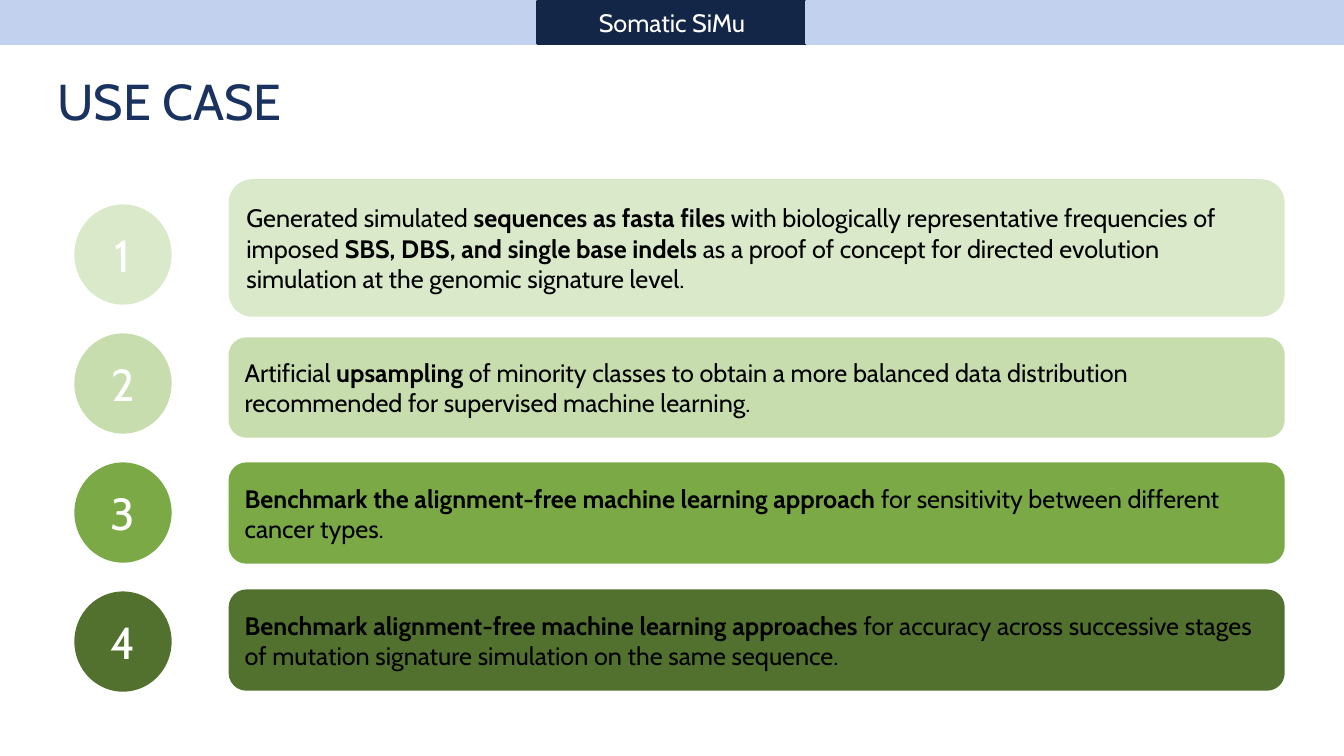
"""Build the "Use case" slide: a section bar above four numbered statements."""
from pptx import Presentation
from pptx.dml.color import RGBColor
from pptx.enum.shapes import MSO_SHAPE
from pptx.enum.text import MSO_ANCHOR, PP_ALIGN
from pptx.util import Inches, Pt

RECTANGLE = MSO_SHAPE.RECTANGLE
ROUNDED = MSO_SHAPE.ROUNDED_RECTANGLE
OVAL = MSO_SHAPE.OVAL
CENTER, LEFT = PP_ALIGN.CENTER, PP_ALIGN.LEFT
MIDDLE, BOTTOM = MSO_ANCHOR.MIDDLE, MSO_ANCHOR.BOTTOM

FONT = "Cabin"
NAVY = RGBColor(0x1A, 0x32, 0x60)
DARK_NAVY = RGBColor(0x14, 0x26, 0x48)
PALE_BLUE = RGBColor(0xC2, 0xD1, 0xEE)
WHITE = RGBColor(0xFF, 0xFF, 0xFF)
BLACK = RGBColor(0x00, 0x00, 0x00)
GREENS = (
    RGBColor(0xDA, 0xE9, 0xC9),
    RGBColor(0xC7, 0xDD, 0xAD),
    RGBColor(0x7B, 0xA9, 0x46),
    RGBColor(0x52, 0x71, 0x2E),
)

TITLE = "USE CASE"
SECTIONS = ("", "", "Somatic SiMu", "", "")
STATEMENTS = (
    (
        ("Generated simulated ", False),
        ("sequences as fasta files ", True),
        ("with biologically representative frequencies of imposed ", False),
        ("SBS, DBS, and single base indels ", True),
        ("as a proof of concept for directed evolution simulation "
         "at the genomic signature level.", False),
    ),
    (
        ("Artificial ", False),
        ("upsampling", True),
        (" of minority classes to obtain a more balanced data distribution "
         "recommended for supervised machine learning.", False),
    ),
    (
        ("Benchmark the alignment-free machine learning approach", True),
        (" for sensitivity between different cancer types.", False),
    ),
    (
        ("Benchmark alignment-free machine learning approaches ", True),
        ("for accuracy across successive stages of mutation signature "
         "simulation on the same sequence.", False),
    ),
)
PANEL_SPANS = ((1.79, 1.34), (3.36, 0.97), (4.6, 0.98), (5.86, 0.98))

SLIDE_WIDTH, SLIDE_HEIGHT = 13.33, 7.5
SECTION_TOP, SECTION_HEIGHT = 0.01, 0.42
PANEL_LEFT, PANEL_WIDTH = 2.28, 10.45
CIRCLE_LEFT, CIRCLE_WIDTH, CIRCLE_HEIGHT = 0.75, 0.94, 0.97
CIRCLE_TOP, CIRCLE_PITCH = 2.04, 1.28


def write(shape, runs, size, color, alignment, anchor=MIDDLE):
    """Fill a shape with one paragraph of (text, bold) runs."""
    frame = shape.text_frame
    frame.word_wrap = True
    frame.vertical_anchor = anchor
    paragraph = frame.paragraphs[0]
    paragraph.alignment = alignment
    paragraph.font.name = FONT
    paragraph.font.size = Pt(size)
    paragraph.font.color.rgb = color
    for text, bold in runs:
        run = paragraph.add_run()
        run.text = text
        run.font.bold = bold


def add_block(slide, kind, box, color):
    """Add a flat shape whose outline matches its fill."""
    shape = slide.shapes.add_shape(kind, *map(Inches, box))
    shape.shadow.inherit = False
    shape.fill.solid()
    shape.fill.fore_color.rgb = color
    shape.line.color.rgb = color
    shape.line.width = Pt(1.75)
    return shape


def main():
    """Lay out the slide and save it."""
    presentation = Presentation()
    presentation.slide_width = Inches(SLIDE_WIDTH)
    presentation.slide_height = Inches(SLIDE_HEIGHT)
    slide = presentation.slides.add_slide(presentation.slide_layouts[6])

    title = slide.shapes.add_textbox(*map(Inches, (0.47, 0.65, 12.27, 0.7)))
    write(title, [(TITLE, False)], 36, NAVY, LEFT, BOTTOM)

    section_width = SLIDE_WIDTH / len(SECTIONS)
    for index, name in enumerate(SECTIONS):
        box = (index * section_width, SECTION_TOP, section_width, SECTION_HEIGHT)
        section = add_block(slide, RECTANGLE, box, DARK_NAVY if name else PALE_BLUE)
        if name:
            write(section, [(name, False)], 18, WHITE, CENTER)

    rows = zip(STATEMENTS, PANEL_SPANS, GREENS)
    for index, (statement, (top, height), green) in enumerate(rows):
        panel = add_block(slide, ROUNDED, (PANEL_LEFT, top, PANEL_WIDTH, height), green)
        write(panel, statement, 18, BLACK, LEFT)
        circle_top = CIRCLE_TOP + index * CIRCLE_PITCH
        box = (CIRCLE_LEFT, circle_top, CIRCLE_WIDTH, CIRCLE_HEIGHT)
        circle = add_block(slide, OVAL, box, green)
        write(circle, [(str(index + 1), False)], 32, WHITE, CENTER)

    presentation.save("out.pptx")


if __name__ == "__main__":
    main()
